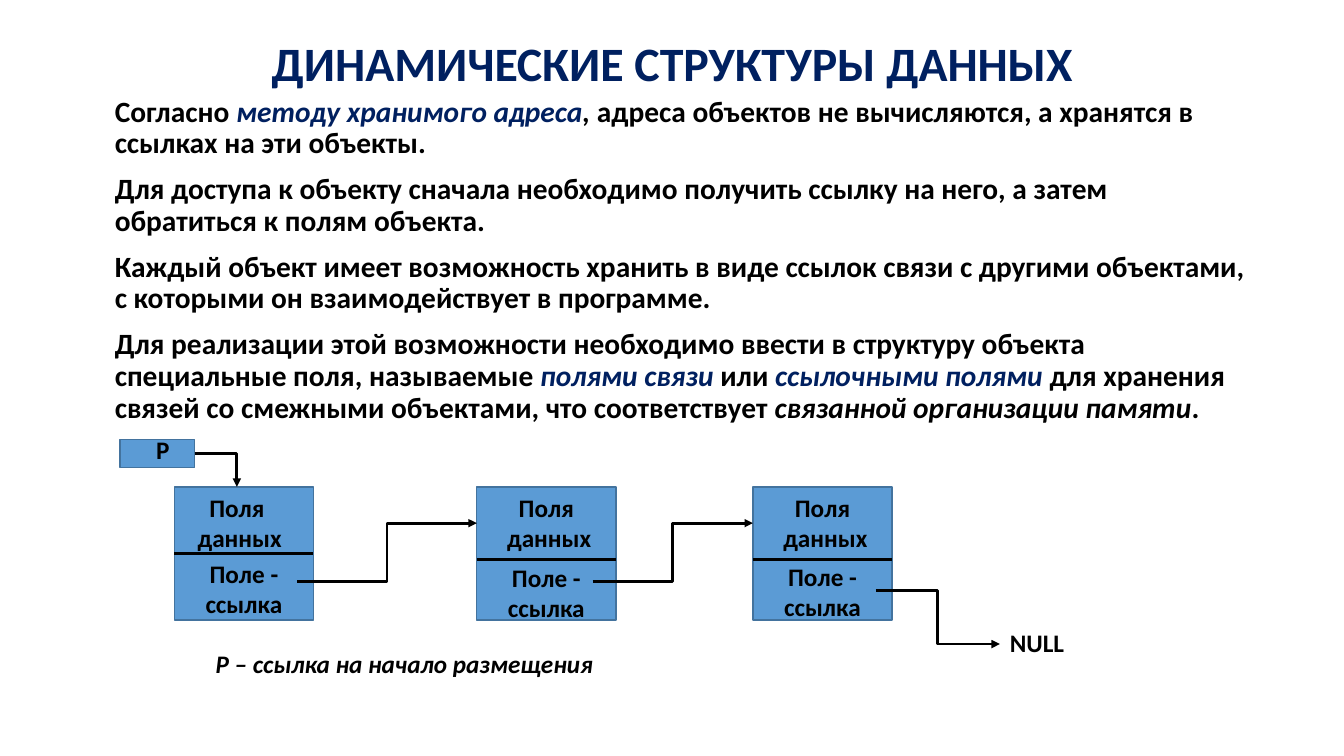
from dataclasses import dataclass

import lxml.etree
import pptx
import pptx.dml.color
import pptx.enum.shapes
import pptx.enum.text
import pptx.oxml.ns
import pptx.util

COLUMNS, ROWS = 40, 30
COLUMN = pptx.util.Inches(13.333) / COLUMNS
ROW = pptx.util.Inches(7.5) / ROWS

FONT = "Calibri"
BLACK, NAVY, BLUE, EDGE = "000000", "002060", "5B9BD5", "43739E"
CENTER = pptx.enum.text.PP_ALIGN.CENTER

NODE_TOP, NODE_WIDTH, NODE_HEIGHT = 19.32, 4.14, 5.28
LABEL_HEIGHT = 2.84


@dataclass
class Span:
    text: str
    color: str = BLACK
    italic: bool = False


@dataclass
class Area:
    """A rectangle in grid columns and rows."""
    left: float
    top: float
    width: float
    height: float

    def lengths(self) -> tuple[int, int, int, int]:
        return (across(self.left), down(self.top),
                across(self.width), down(self.height))


@dataclass
class Node:
    left: float
    data_left: float
    divider: float
    link_top: float


@dataclass
class Arrow:
    start: tuple[float, float]
    end: tuple[float, float]
    preset: str = "bentConnector3"


BODY = [
    [Span("Согласно "), Span("методу хранимого адреса", NAVY, True),
     Span(",", italic=True),
     Span(" адреса объектов не вычисляются, а хранятся в ссылках на эти объекты.")],
    [Span("Для доступа к объекту сначала необходимо получить ссылку на него, "
          "а затем обратиться к полям объекта.")],
    [Span("Каждый объект имеет возможность хранить в виде ссылок связи с другими "
          "объектами, с которыми он взаимодействует в программе.")],
    [Span("Для реализации этой возможности необходимо ввести в структуру объекта "
          "специальные поля, называемые "),
     Span("полями связи ", NAVY, True), Span("или "),
     Span("ссылочными полями ", NAVY, True),
     Span("для хранения связей со смежными объектами, что соответствует "),
     Span("связанной организации памяти", italic=True), Span(".")],
]

NODES = [
    Node(5.19, 4.98, 21.96, 21.96),
    Node(14.19, 14.19, 22.2, 22.12),
    Node(22.41, 22.41, 22.2, 22.08),
]

ARROWS = [
    Arrow((8.85, 23.08), (14.19, 20.76)),
    Arrow((17.64, 23.08), (22.41, 20.76)),
    Arrow((26.07, 23.44), (29.76, 25.56)),
    Arrow((5.79, 18), (7.05, NODE_TOP), "bentConnector2"),
]


def across(columns: float) -> int:
    return round(columns * COLUMN)


def down(rows: float) -> int:
    return round(rows * ROW)


def rgb(value: str) -> pptx.dml.color.RGBColor:
    return pptx.dml.color.RGBColor.from_string(value)


def write(frame, paragraphs: list[list[Span]], *, size: float = 18, align=None,
          spacing: float | None = None, before: float | None = None,
          wrap: bool = True) -> None:
    frame.word_wrap = wrap
    for index, spans in enumerate(paragraphs):
        para = frame.add_paragraph() if index else frame.paragraphs[0]
        para.alignment = align
        para.line_spacing = spacing
        if before is not None:
            para.space_before = pptx.util.Pt(before)
        for span in spans:
            run = para.add_run()
            run.text = span.text
            run.font.name = FONT
            run.font.size = pptx.util.Pt(size)
            run.font.bold = True
            run.font.italic = span.italic
            run.font.color.rgb = rgb(span.color)


def add_label(page, area: Area, paragraphs: list[list[Span]], **text_format) -> None:
    box = page.shapes.add_textbox(*area.lengths())
    write(box.text_frame, paragraphs, **text_format)


def add_block(page, area: Area) -> None:
    block = page.shapes.add_shape(
        pptx.enum.shapes.MSO_SHAPE.RECTANGLE, *area.lengths())
    block.shadow.inherit = False
    block.fill.solid()
    block.fill.fore_color.rgb = rgb(BLUE)
    block.line.color.rgb = rgb(EDGE)
    block.line.width = pptx.util.Pt(1)


def add_line(page, kind, start: tuple[float, float], end: tuple[float, float]):
    line = page.shapes.add_connector(
        kind, across(start[0]), down(start[1]), across(end[0]), down(end[1]))
    line.line.color.rgb = rgb(BLACK)
    line.line.width = pptx.util.Pt(2)
    lxml.etree.SubElement(line._element.spPr, pptx.oxml.ns.qn("a:effectLst"))
    return line


def add_arrow(page, arrow: Arrow) -> None:
    line = add_line(page, pptx.enum.shapes.MSO_CONNECTOR.ELBOW, arrow.start, arrow.end)
    properties = line._element.spPr
    properties.find(pptx.oxml.ns.qn("a:prstGeom")).set("prst", arrow.preset)
    outline = properties.find(pptx.oxml.ns.qn("a:ln"))
    lxml.etree.SubElement(outline, pptx.oxml.ns.qn("a:tailEnd"), type="triangle")


def add_node(page, node: Node) -> None:
    add_block(page, Area(node.left, NODE_TOP, NODE_WIDTH, NODE_HEIGHT))
    add_label(page, Area(node.data_left, NODE_TOP, NODE_WIDTH, LABEL_HEIGHT),
              [[Span("Поля")], [Span(" данных")]], align=CENTER)
    add_label(page, Area(node.left, node.link_top, NODE_WIDTH, LABEL_HEIGHT),
              [[Span("Поле - ссылка")]], align=CENTER)
    add_line(page, pptx.enum.shapes.MSO_CONNECTOR.STRAIGHT,
             (node.left, node.divider), (node.left + NODE_WIDTH, node.divider))


def add_title(page) -> None:
    title = page.shapes.title
    title.left, title.top, title.width, title.height = Area(2.76, 1.6, 34.5, 2.04).lengths()
    frame = title.text_frame
    frame.auto_size = pptx.enum.text.MSO_AUTO_SIZE.NONE
    frame.vertical_anchor = pptx.enum.text.MSO_ANCHOR.MIDDLE
    write(frame, [[Span("ДИНАМИЧЕСКИЕ СТРУКТУРЫ ДАННЫХ", NAVY)]],
          size=34.2, align=CENTER, spacing=0.9)


def main() -> None:
    deck = pptx.Presentation()
    deck.slide_width, deck.slide_height = across(COLUMNS), down(ROWS)
    page = deck.slides.add_slide(deck.slide_layouts.get_by_name("Title Only"))

    add_title(page)
    add_label(page, Area(3.12, 3.64, 34.5, 23.4), BODY, size=21, spacing=0.9, before=10)
    for node in NODES:
        add_node(page, node)
    add_block(page, Area(3.57, 17.44, 2.22, 1.12))
    for arrow in ARROWS:
        add_arrow(page, arrow)
    add_label(page, Area(4.35, 17.04, 1.29, 1.6), [[Span("Р")]])
    add_label(page, Area(29.76, 24.68, 2.22, 1.6), [[Span("NULL")]], wrap=False)
    add_label(page, Area(6.12, 25.52, 12.06, 1.6),
              [[Span("Р – ссылка на начало размещения", italic=True)]], wrap=False)

    deck.save("out.pptx")


if __name__ == "__main__":
    main()
